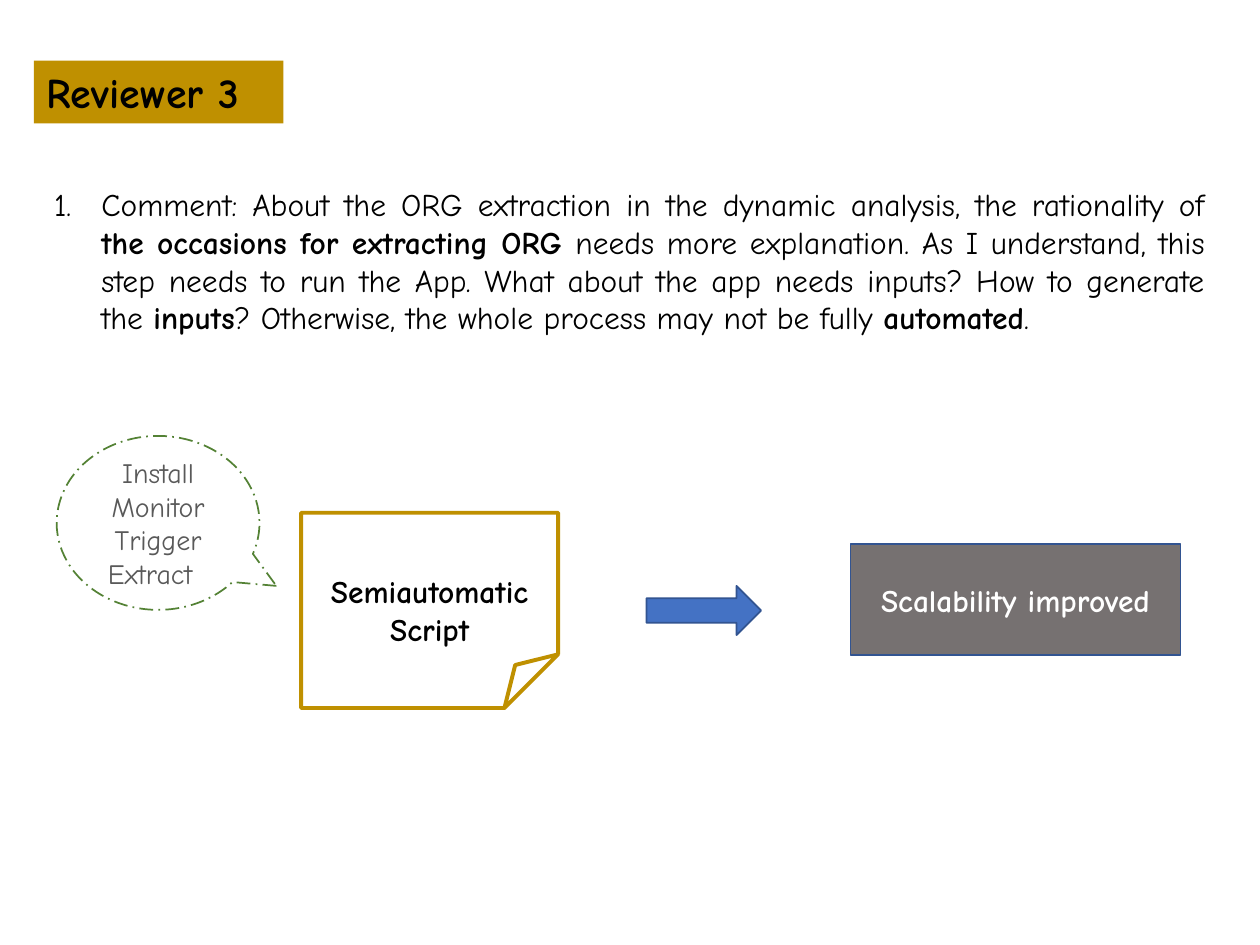
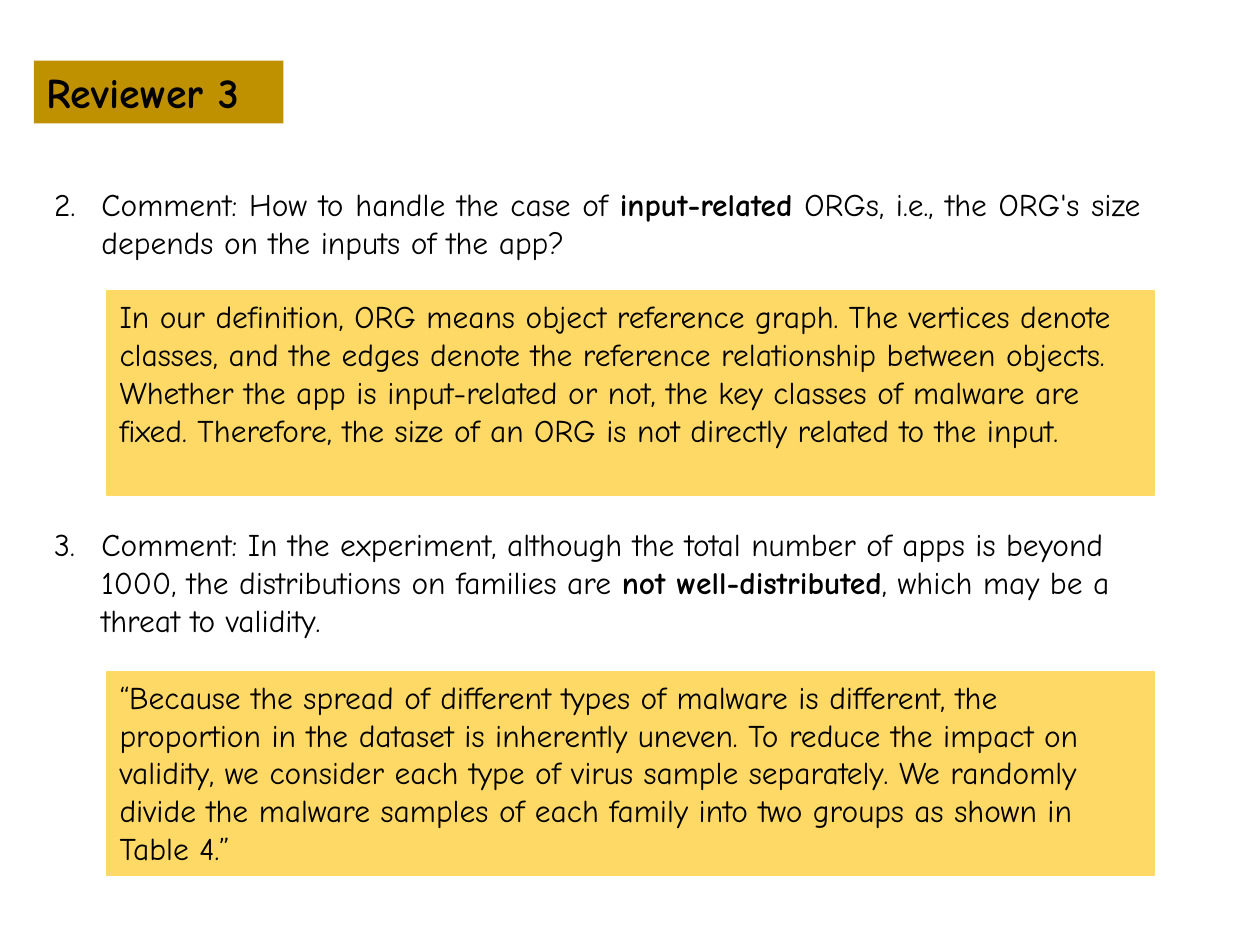
from lxml.etree import SubElement
from pptx import Presentation
from pptx.dml.color import RGBColor
from pptx.enum.dml import MSO_LINE as Dash
from pptx.enum.shapes import MSO_SHAPE as Kind
from pptx.enum.text import MSO_ANCHOR as Anchor, PP_ALIGN as Align
from pptx.oxml.ns import qn
from pptx.util import Pt

FONT = "Comic Neue"
GOLD, SAND, BLUE, NAVY = "BF9000", "FFD966", "4472C4", "325491"
GREEN, GRAY, SLATE = "548235", "595959", "767171"
BLACK, WHITE = "000000", "FFFFFF"

OPEN = ("Comment: About the ORG extraction in the dynamic analysis, the rationality of "
        "*the occasions for extracting ORG *needs more explanation. As I understand, "
        "this step needs to run the App. What about the app needs inputs? How to "
        "generate the *inputs*? Otherwise, the whole process may not be fully *automated*.")
PAIRS = [
    (102.2, Align.JUSTIFY,
     "Comment: How to handle the case of *input-related* ORGs, i.e., the ORG's size "
     "depends on the inputs of the app?",
     166.3,
     "In our definition, ORG means object reference graph. The vertices denote classes, "
     "and the edges denote the reference relationship between objects. Whether the app "
     "is input-related or not, the key classes of malware are fixed. Therefore, the "
     "size of an ORG is not directly related to the input."),
    (296.6, Align.LEFT,
     "Comment: In the experiment, although the total number of apps is beyond 1000, the "
     "distributions on families are *not well-distributed*, which may be a threat to validity.",
     383.8,
     "“Because the spread of different types of malware is different, the proportion in "
     "the dataset is inherently uneven. To reduce the impact on validity, we consider "
     "each type of virus sample separately. We randomly divide the malware samples of "
     "each family into two groups as shown in Table 4.”"),
]


def color(code):
    return RGBColor.from_string(code)


def write(para, text, size=18, ink=BLACK, bold=False, align=Align.LEFT):
    """Add the text run by run; each * switches bold on or off."""
    para.alignment = align
    for i, part in enumerate(text.split("*")):
        run = para.add_run()
        run.text = part
        font = run.font
        font.name, font.size = FONT, Pt(size)
        font.bold = bold != (i % 2 == 1)
        font.color.rgb = color(ink)


def draw(slide, kind, box, fill=None, line=None, width=1.0):
    shape = slide.shapes.add_shape(kind, *map(Pt, box))
    shape.shadow.inherit = False
    if fill:
        shape.fill.solid()
        shape.fill.fore_color.rgb = color(fill)
    else:
        shape.fill.background()
    if line:
        shape.line.color.rgb = color(line)
        shape.line.width = Pt(width)
    else:
        shape.line.fill.background()
    frame = shape.text_frame
    frame.word_wrap = True
    frame.vertical_anchor = Anchor.TOP
    return shape


def label(slide, box):
    """Add an empty wrapping text box and return its first paragraph."""
    frame = slide.shapes.add_textbox(*map(Pt, box)).text_frame
    frame.word_wrap = True
    return frame.paragraphs[0]


def page(deck):
    """Add a slide with the shared title band."""
    slide = deck.slides.add_slide(deck.slide_layouts[6])
    band = draw(slide, Kind.RECTANGLE, (19.4, 34.6, 142.6, 36), GOLD)
    para = band.text_frame.paragraphs[0]
    para.space_after = Pt(4)
    write(para, "Reviewer 3", 24, bold=True)
    return slide


def remark(slide, box, number, text, align):
    """Add a numbered reviewer comment."""
    para = label(slide, box)
    props = para._p.get_or_add_pPr()
    props.set("marL", str(Pt(27)))
    props.set("indent", str(-Pt(27)))
    SubElement(props, qn("a:buFont"), typeface="+mj-lt")
    SubElement(props, qn("a:buAutoNum"), type="arabicPeriod", startAt=str(number))
    write(para, text, align=align)


def answer(slide, box, text):
    panel = draw(slide, Kind.RECTANGLE, box, SAND, SAND, 0.75)
    write(panel.text_frame.paragraphs[0], text)


def bubble(slide, box, steps):
    shape = draw(slide, Kind.OVAL_CALLOUT, box, line=GREEN)
    shape.adjustments[0], shape.adjustments[1] = 0.583, 0.362
    shape.line.dash_style = Dash.LONG_DASH_DOT
    frame = shape.text_frame
    frame.vertical_anchor = Anchor.MIDDLE
    for i, step in enumerate(steps):
        para = frame.add_paragraph() if i else frame.paragraphs[0]
        write(para, step, 16, GRAY, align=Align.CENTER)
    # The last step sits slightly left of centre
    para._p.get_or_add_pPr().set("marR", str(Pt(9)))


def flow(slide, left, top):
    """Draw the script note, the arrow and the result."""
    note = draw(slide, Kind.FOLDED_CORNER, (left, top, 146.9, 111.6),
                line=GOLD, width=2.25)
    # The library lists no adjustment for this preset
    guides = next(note._element.iter(qn("a:avLst")))
    SubElement(guides, qn("a:gd"), name="adj", fmla="val 27500")
    write(label(slide, (left, top + 30.2, 146.9, 51.1)),
          "Semiautomatic Script", bold=True, align=Align.CENTER)
    draw(slide, Kind.RIGHT_ARROW, (left + 197.3, top + 41.8, 65.5, 28.1), BLUE, NAVY)
    result = draw(slide, Kind.RECTANGLE, (left + 313.9, top + 18, 188.6, 63.4),
                  SLATE, NAVY)
    result.text_frame.vertical_anchor = Anchor.MIDDLE
    write(result.text_frame.paragraphs[0], "Scalability improved",
          ink=WHITE, bold=True, align=Align.CENTER)


def main():
    deck = Presentation()
    deck.slide_width, deck.slide_height = Pt(720), Pt(540)

    slide = page(deck)
    remark(slide, (23.8, 102.2, 671.8, 116.6), 1, OPEN, Align.JUSTIFY)
    flow(slide, 172.1, 293)
    bubble(slide, (32.4, 249.1, 115.9, 99.4),
           ("Install", "Monitor", "Trigger", "Extract"))

    slide = page(deck)
    for number, (top, align, text, low, reply) in enumerate(PAIRS, 2):
        remark(slide, (23.8, top, 635, 72), number, text, align)
        answer(slide, (61.2, low, 598.3, 116.6), reply)

    deck.save("out.pptx")


if __name__ == "__main__":
    main()
